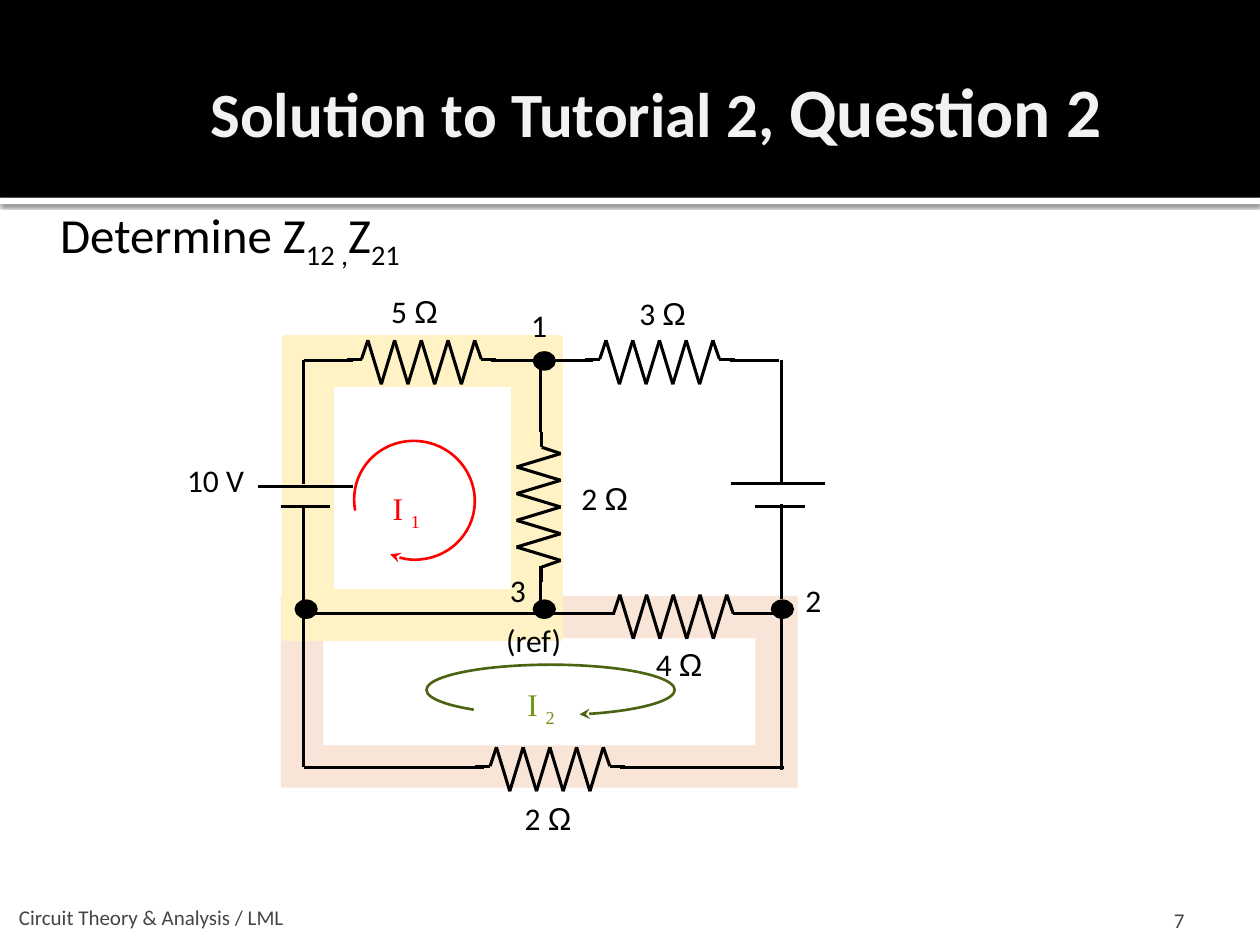
from lxml import etree
from pptx import Presentation
from pptx.dml.color import RGBColor
from pptx.enum.shapes import MSO_CONNECTOR, MSO_SHAPE
from pptx.enum.text import MSO_ANCHOR, PP_ALIGN
from pptx.oxml.ns import qn
from pptx.util import Inches, Pt

STRAIGHT = MSO_CONNECTOR.STRAIGHT
RECT, FRAME, OVAL, ARC = MSO_SHAPE.RECTANGLE, MSO_SHAPE.FRAME, MSO_SHAPE.OVAL, MSO_SHAPE.ARC
LEFT, CENTER, RIGHT = PP_ALIGN.LEFT, PP_ALIGN.CENTER, PP_ALIGN.RIGHT
TOP, MIDDLE, BOTTOM = MSO_ANCHOR.TOP, MSO_ANCHOR.MIDDLE, MSO_ANCHOR.BOTTOM

THEME = {
    "black": "000000", "white": "FFFFFF", "title": "F2F2F2", "footer": "454545",
    "loop1": "FF0000", "loop2": "4C6312", "loop2_text": "72951A",
    "mesh1": "FFF3C5", "mesh2": "F9E4D8",
    "body": "Calibri", "symbol": "Arial", "serif": "Times New Roman",
    "title_pt": 36, "question_pt": 39.6, "lead_pt": 28, "label_pt": 18, "footer_pt": 12,
    "wire_pt": 1.75, "loop_pt": 1.5, "mesh_pt": 3,
}

TITLE = [("Solution to Tutorial 2, ", {"size": "title_pt"}), ("Question 2", {"size": "question_pt"})]
LEAD = [("Determine Z", {}), ("12 ,", {"sub": True}), ("Z", {}), ("21", {"sub": True})]
FOOTERS = [
    ("Circuit Theory & Analysis / LML", (0.1, 7.08, 6.02, 0.3), LEFT, 0.05),
    ("7", (8.7, 7.1, 0.8, 0.3), RIGHT, 0.1),
]
OHMS = [("5", 3.09, 2.32), ("3", 5.06, 2.33), ("2", 4.6, 3.8), ("4", 5.19, 5.12), ("2", 4.15, 6.34)]
LABELS = [("1", 4.21, 2.43, 0.14), ("2", 6.29, 4.61, 0.33), ("3", 4.04, 4.53, 0.14),
          ("(ref)", 4.01, 4.93, 0.45), ("10 V", 1.45, 3.66, 0.52)]
MESHES = [((2.23, 4.73, 4.1, 1.52), 0.22, "mesh2", None),
          ((2.26, 2.68, 2.19, 2.39), 0.17, "mesh1", "mesh1")]
LOOPS = [
    ("1", (2.82, 3.49, 0.94, 0.96), 289.7, (144.21, 110.62), "loop1", "loop1", (2.91, 3.88)),
    ("2", (4.17, 4.49, 0.4, 1.97), 270, (153.34, 78.15), "loop2", "loop2_text", (3.98, 5.44)),
]
NODES = [(4.24, 2.8), (2.35, 4.77), (4.24, 4.77), (6.13, 4.77)]
RESISTORS = [(2.75, 2.85, False), (4.64, 2.85, False), (4.3, 3.43, True),
             (4.75, 4.87, False), (3.77, 6.08, False)]
WIRES = [
    (2.41, 2.86, 2.8, 2.86), (3.9, 2.86, 4.3, 2.86), (4.31, 2.86, 4.71, 2.86), (5.79, 2.86, 6.18, 2.86),
    (2.41, 2.86, 2.41, 3.84), (2.41, 4.01, 2.41, 4.88), (2.41, 4.87, 2.41, 6.09),
    (4.29, 2.84, 4.29, 3.43), (4.29, 4.49, 4.29, 4.89),
    (6.2, 2.86, 6.2, 3.84), (6.2, 4, 6.2, 4.75), (6.2, 4.89, 6.2, 6.11),
    (2.41, 4.87, 4.88, 4.87), (5.83, 4.87, 6.22, 4.87),
    (2.41, 6.09, 3.84, 6.09), (4.92, 6.09, 6.22, 6.09),
    (2.05, 3.86, 2.8, 3.86), (2.23, 4.02, 2.62, 4.02),
    (5.8, 3.84, 6.55, 3.84), (5.99, 4.02, 6.39, 4.02),
]


def rgb(key):
    return RGBColor.from_string(THEME[key])


def inches(box):
    return [Inches(v) for v in box]


def set_text(sp, runs, size="label_pt", color="black", font="body", bold=False,
             align=CENTER, anchor=TOP, margins=(0, 0, 0, 0), wrap=False):
    tf = sp.text_frame
    sides = ("margin_left", "margin_top", "margin_right", "margin_bottom")
    frame = dict(zip(sides, inches(margins)), word_wrap=wrap, vertical_anchor=anchor)
    for name, value in frame.items():
        setattr(tf, name, value)
    p = tf.paragraphs[0]
    p.alignment = align
    for text, style in runs:
        r = p.add_run()
        r.text = text
        values = {"name": THEME[style.get("font", font)],
                  "size": Pt(THEME[style.get("size", size)]), "bold": bold}
        for name, value in values.items():
            setattr(r.font, name, value)
        r.font.color.rgb = rgb(color)
        if style.get("sub"):
            r._r.get_or_add_rPr().set("baseline", "-25000")


def add_text(shapes, box, runs, **style):
    set_text(shapes.add_textbox(*inches(box)), runs, **style)


def add_figure(shapes, kind, box, fill=None, line=None, width="wire_pt"):
    sp = shapes.add_shape(kind, *inches(box))
    sp.shadow.inherit = False
    if fill:
        sp.fill.solid()
        sp.fill.fore_color.rgb = rgb(fill)
    else:
        sp.fill.background()
    if line:
        sp.line.color.rgb = rgb(line)
        sp.line.width = Pt(THEME[width])
    else:
        sp.line.fill.background()
    return sp


def add_wire(shapes, ends):
    c = shapes.add_connector(STRAIGHT, *inches(ends))
    c.line.color.rgb = rgb("black")
    c.line.width = Pt(THEME["wire_pt"])
    etree.SubElement(c._element.spPr, qn("a:effectLst"))


def add_resistor(s, x, y, vertical):
    zigzag = [(0.17 + 0.106 * i, 0.2 if i % 2 else -0.15) for i in range(9)]
    profile = [(0, 0), (0.12, 0), *zigzag, (1.07, 0), (1.19, 0)]
    points = [(x - v, y + u) if vertical else (x + u, y + v) for u, v in profile]
    group = s.shapes.add_group_shape()
    for start, end in zip(points, points[1:]):
        add_wire(group.shapes, (*start, *end))


def add_bar_shadow(sp):
    effects = sp._element.spPr.find(qn("a:effectLst"))
    shadow = etree.SubElement(effects, qn("a:outerShdw"), blurRad=str(Pt(2.5)), dist=str(Pt(0.8)),
                              dir="5400000", algn="t", rotWithShape="0")
    color = etree.SubElement(shadow, qn("a:srgbClr"), val=THEME["black"])
    etree.SubElement(color, qn("a:alpha"), val="60000")


def add_loop(s, number, box, rotation, angles, line, color, label):
    group = s.shapes.add_group_shape()
    arc = add_figure(group.shapes, ARC, box, line=line, width="loop_pt")
    arc.rotation = rotation
    for i, angle in enumerate(angles):
        arc.adjustments[i] = angle
    etree.SubElement(arc.line._get_or_add_ln(), qn("a:tailEnd"), type="stealth")
    add_text(group.shapes, (*label, 0.63, 0.3), [("I ", {}), (number, {"sub": True})],
             color=color, font="serif", wrap=True)


def main():
    prs = Presentation()
    prs.slide_width, prs.slide_height = Inches(10), Inches(7.5)
    s = prs.slides.add_slide(prs.slide_layouts[5])

    add_bar_shadow(add_figure(s.shapes, RECT, (0, 1.57, 10, 0.05), "white"))
    add_figure(s.shapes, RECT, (0, 0, 10, 1.57), "black")
    title = s.shapes.title
    title.left, title.top, title.width, title.height = inches((0.22, 0.41, 9.03, 0.92))
    set_text(title, TITLE, color="title", bold=True, align=LEFT, anchor=MIDDLE,
             margins=(1.45, 0.05, 0.05, 0.05), wrap=True)
    title.element.getparent().append(title.element)

    for box, thickness, fill, line in MESHES:
        add_figure(s.shapes, FRAME, box, fill, line, "mesh_pt").adjustments[0] = thickness
    for wire in WIRES:
        add_wire(s.shapes, wire)
    for resistor in RESISTORS:
        add_resistor(s, *resistor)
    for x, y in NODES:
        add_figure(s.shapes, OVAL, (x, y, 0.16, 0.13), "black", "black")
    for loop in LOOPS:
        add_loop(s, *loop)

    add_text(s.shapes, (0.38, 1.62, 2.89, 0.79), LEAD, size="lead_pt")
    for value, x, y in OHMS:
        add_text(s.shapes, (x, y, 0.4, 0.3), [(value + " ", {}), ("Ω", {"font": "symbol"})])
    for text, x, y, width in LABELS:
        add_text(s.shapes, (x, y, width, 0.3), [(text, {})])
    for text, box, align, side in FOOTERS:
        add_text(s.shapes, box, [(text, {})], size="footer_pt", color="footer", align=align,
                 anchor=BOTTOM, margins=(side, 0.05, side, 0), wrap=True)

    prs.save("out.pptx")


if __name__ == "__main__":
    main()
